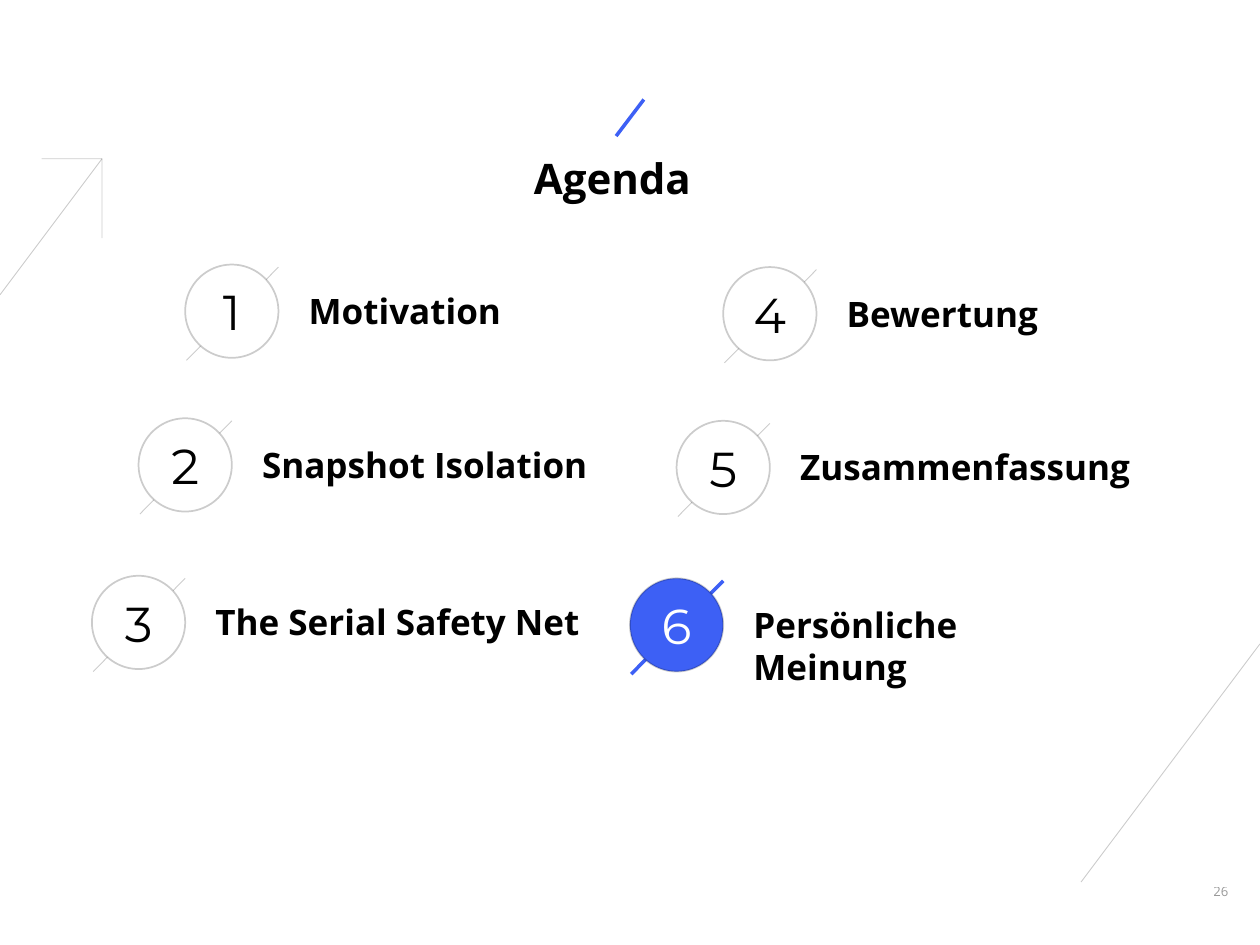
from lxml.etree import SubElement
from pptx import Presentation
from pptx.dml.color import RGBColor
from pptx.enum.shapes import MSO_CONNECTOR, MSO_SHAPE
from pptx.enum.text import MSO_ANCHOR, MSO_AUTO_SIZE, PP_ALIGN
from pptx.oxml.ns import qn
from pptx.util import Inches, Pt

COLORS = {"black": "000000", "white": "FFFFFF", "accent": "3D60F5"}


def style_line(shape, color, width, opacity=100):
    """Colour an outline or connector; opacity is in percent."""
    shape.line.color.rgb = RGBColor.from_string(COLORS[color])
    shape.line.width = Pt(width)
    if opacity < 100:
        for color_element in shape.line._ln.iter(qn("a:srgbClr")):
            SubElement(color_element, qn("a:alpha")).set("val", str(opacity * 1000))
    properties = shape._element.spPr
    if properties.find(qn("a:effectLst")) is None:
        SubElement(properties, qn("a:effectLst"))


def set_text(shape, text, size, font="Open Sans", color="black", bold=False,
             align=PP_ALIGN.LEFT, anchor=MSO_ANCHOR.TOP, margins=None, wrap=True):
    """Write one formatted paragraph; margins are left, top, right, bottom."""
    frame = shape.text_frame
    frame.text = text
    frame.word_wrap = wrap
    frame.vertical_anchor = anchor
    if margins:
        (frame.margin_left, frame.margin_top,
         frame.margin_right, frame.margin_bottom) = [Inches(m) for m in margins]
    paragraph = frame.paragraphs[0]
    paragraph.alignment = align
    run_font = paragraph.runs[0].font
    run_font.name = font
    run_font.size = Pt(size)
    run_font.bold = bold
    run_font.color.rgb = RGBColor.from_string(COLORS[color])


presentation = Presentation()
presentation.slide_width = Inches(10)
presentation.slide_height = Inches(7.5)
slide = presentation.slides.add_slide(presentation.slide_layouts[5])
shapes = slide.shapes

# Decorative lines: title slash, corner arrow, lower right diagonal
DECORATION = [
    (4.89, 1.08, 5.11, 0.79, "accent", 2, 100),
    (0, 2.34, 0.81, 1.26, "black", 0.5, 20),
    (0.81, 1.26, 0.81, 1.89, "black", 0.5, 20),
    (0.81, 1.26, 0.33, 1.26, "black", 0.5, 20),
    (8.58, 7, 10, 5.11, "black", 0.5, 20),
]
for *ends, color, width, opacity in DECORATION:
    line = shapes.add_connector(MSO_CONNECTOR.STRAIGHT, *[Inches(e) for e in ends])
    style_line(line, color, width, opacity)

# Title
title = shapes.title
title.left, title.top = Inches(1.14), Inches(1.08)
title.width, title.height = Inches(7.44), Inches(0.7)
set_text(title, "Agenda", 24, bold=True, align=PP_ALIGN.CENTER, margins=(0, 0.21, 0, 0))
title.text_frame.auto_size = MSO_AUTO_SIZE.NONE
title.text_frame.paragraphs[0].line_spacing = 0.8

# Slide number
number_box = shapes.add_textbox(Inches(9.48), Inches(6.95), Inches(0.42), Inches(0.25))
set_text(number_box, "26", 7.5, align=PP_ALIGN.CENTER, anchor=MSO_ANCHOR.MIDDLE,
         margins=(0, 0, 0, 0))
for color_element in number_box._element.iter(qn("a:srgbClr")):
    SubElement(color_element, qn("a:alpha")).set("val", "40000")

# Agenda items: two columns, each row stepping to the left
COLUMNS = [
    (1.47, 2.1, ["Motivation", "Snapshot Isolation", "The Serial Safety Net"]),
    (5.74, 2.12, ["Bewertung", "Zusammenfassung", "Persönliche Meinung"]),
]
ROW_OFFSETS = [0, 1.22, 2.47]
ROW_SHIFT = 0.37
DIAMETER = 0.74
CURRENT_ITEM = 6

number = 0
for column_left, column_top, labels in COLUMNS:
    for row, label in enumerate(labels):
        number += 1
        current = number == CURRENT_ITEM
        left = column_left - row * ROW_SHIFT
        top = column_top + ROW_OFFSETS[row]

        # Slash behind the circle
        slash = shapes.add_connector(
            MSO_CONNECTOR.STRAIGHT, Inches(left + 0.01), Inches(top + DIAMETER + 0.02),
            Inches(left + DIAMETER), Inches(top + 0.02))
        if current:
            style_line(slash, "accent", 2)
        else:
            style_line(slash, "black", 0.5, 20)

        # Numbered circle
        circle = shapes.add_shape(MSO_SHAPE.OVAL, Inches(left), Inches(top),
                                  Inches(DIAMETER), Inches(DIAMETER))
        circle.fill.solid()
        circle.fill.fore_color.rgb = RGBColor.from_string(
            COLORS["accent" if current else "white"])
        style_line(circle, "black", 1, 20)
        set_text(circle, str(number), 28, font="Montserrat",
                 color="white" if current else "black",
                 align=PP_ALIGN.CENTER, anchor=MSO_ANCHOR.MIDDLE)

        # Label
        label_box = shapes.add_textbox(Inches(left + 0.98), Inches(top + 0.15),
                                       Inches(2.9), Inches(0.44))
        set_text(label_box, label, 20, bold=True, margins=(0, 0.05, 0, 0.05))

presentation.save("out.pptx")
